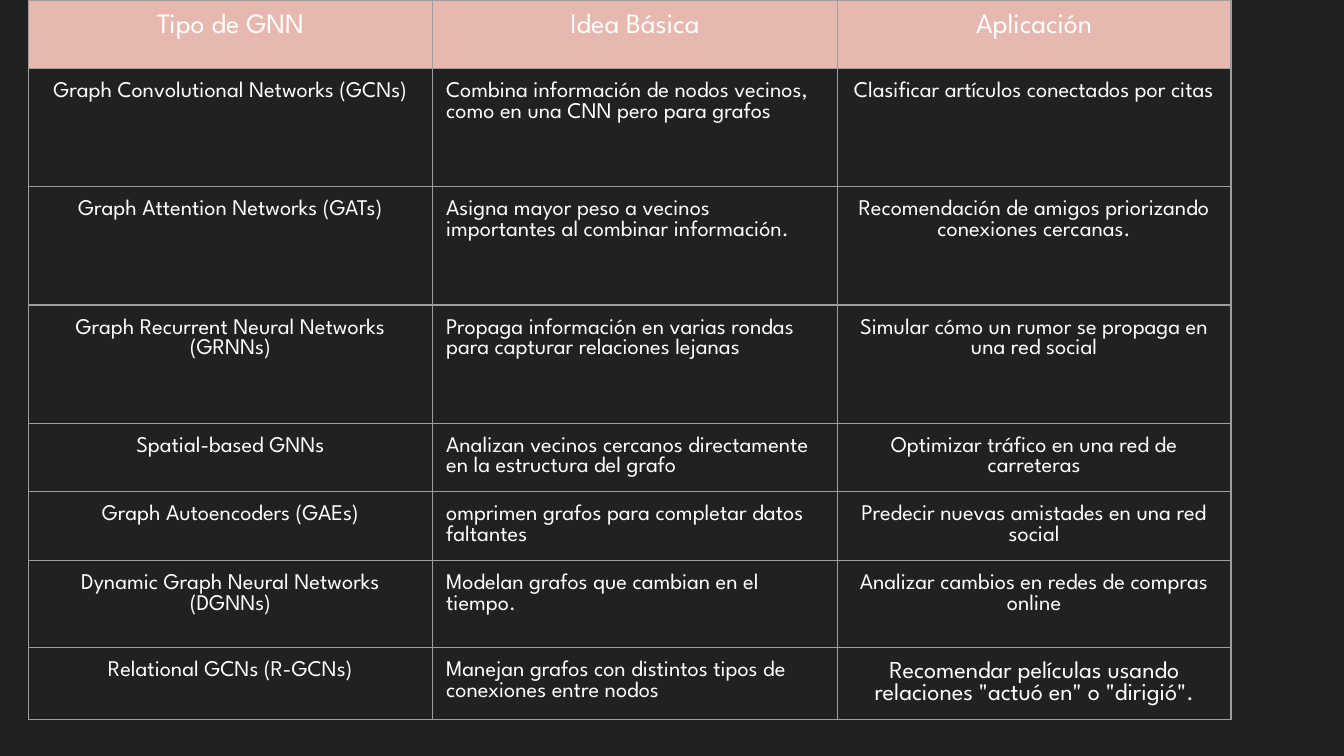
import pptx
import pptx.dml.color
import pptx.enum.text
import pptx.oxml
import pptx.oxml.ns
import pptx.util
from pptx.util import Inches

RGBColor = pptx.dml.color.RGBColor
Align = pptx.enum.text.PP_ALIGN

DARK = RGBColor(0x21, 0x21, 0x21)
PINK = RGBColor(0xE6, 0xB8, 0xAF)
GRAY = RGBColor(0x9E, 0x9E, 0x9E)
WHITE = RGBColor(0xFF, 0xFF, 0xFF)

WIDE = 10
HIGH = WIDE * 9 / 16
COLS = [3.01, 3.01, 2.93]
ROWS = [0.51, 0.88, 0.88, 0.88, 0.51, 0.51, 0.65, 0.52]
ALIGNS = [Align.CENTER, Align.LEFT, Align.CENTER]
HEAD = ["Tipo de GNN", "Idea Básica", "Aplicación"]
BODY = [
    ["Graph Convolutional Networks (GCNs)",
     "Combina información de nodos vecinos, como en una CNN pero para grafos",
     "Clasificar artículos conectados por citas"],
    ["Graph Attention Networks (GATs)",
     "Asigna mayor peso a vecinos importantes al combinar información.",
     "Recomendación de amigos priorizando conexiones cercanas."],
    ["Graph Recurrent Neural Networks (GRNNs)",
     "Propaga información en varias rondas para capturar relaciones lejanas",
     "Simular cómo un rumor se propaga en una red social"],
    ["Spatial-based GNNs",
     "Analizan vecinos cercanos directamente en la estructura del grafo",
     "Optimizar tráfico en una red de carreteras"],
    ["Graph Autoencoders (GAEs)",
     "omprimen grafos para completar datos faltantes",
     "Predecir nuevas amistades en una red social"],
    ["Dynamic Graph Neural Networks (DGNNs)",
     "Modelan grafos que cambian en el tiempo.",
     "Analizar cambios en redes de compras online"],
    ["Relational GCNs (R-GCNs)",
     "Manejan grafos con distintos tipos de conexiones entre nodos",
     'Recomendar películas usando relaciones "actuó en" o "dirigió".'],
]


class Deck:
    font = "League Spartan"
    pad = Inches(0.1)
    rule = pptx.util.Pt(0.75)

    def __init__(self, wide, high):
        self.prs = pptx.Presentation()
        self.prs.slide_width = Inches(wide)
        self.prs.slide_height = Inches(high)
        self.slide = None

    def page(self, color):
        self.slide = self.prs.slides.add_slide(self.prs.slide_layouts[6])
        fill = self.slide.background.fill
        fill.solid()
        fill.fore_color.rgb = color

    def table(self, left, top, cols, rows):
        frame = self.slide.shapes.add_table(
            len(rows), len(cols), Inches(left), Inches(top),
            Inches(sum(cols)), Inches(sum(rows)))
        grid = frame.table
        grid.first_row = False
        grid.horz_banding = False
        for col, width in zip(grid.columns, cols):
            col.width = Inches(width)
        for row, height in zip(grid.rows, rows):
            row.height = Inches(height)
        return grid

    def cell(self, cell, text, size, align, fill=None):
        cell.margin_left = cell.margin_right = self.pad
        cell.margin_top = cell.margin_bottom = self.pad
        if fill is None:
            cell.fill.background()
        else:
            cell.fill.solid()
            cell.fill.fore_color.rgb = fill
        cell.text_frame.text = text
        para = cell.text_frame.paragraphs[0]
        para.alignment = align
        font = para.runs[0].font
        font.name = self.font
        font.size = pptx.util.Pt(size)
        font.bold = False
        font.color.rgb = WHITE
        self.border(cell)

    def border(self, cell):
        props = cell._tc.get_or_add_tcPr()
        space = pptx.oxml.ns.nsdecls("a")
        for spot, side in enumerate("LRTB"):
            props.insert(spot, pptx.oxml.parse_xml(
                f'<a:ln{side} {space} w="{self.rule}"><a:solidFill>'
                f'<a:srgbClr val="{GRAY}"/></a:solidFill></a:ln{side}>'))


def main():
    deck = Deck(WIDE, HIGH)
    deck.page(DARK)
    grid = deck.table(0.21, 0, COLS, ROWS)
    for col, text in enumerate(HEAD):
        deck.cell(grid.cell(0, col), text, 15, Align.CENTER, PINK)
    for row, texts in enumerate(BODY, 1):
        for col, text in enumerate(texts):
            last = row == len(BODY) and col == len(COLS) - 1
            deck.cell(grid.cell(row, col), text, 13 if last else 12, ALIGNS[col])
    deck.prs.save("out.pptx")


if __name__ == "__main__":
    main()
